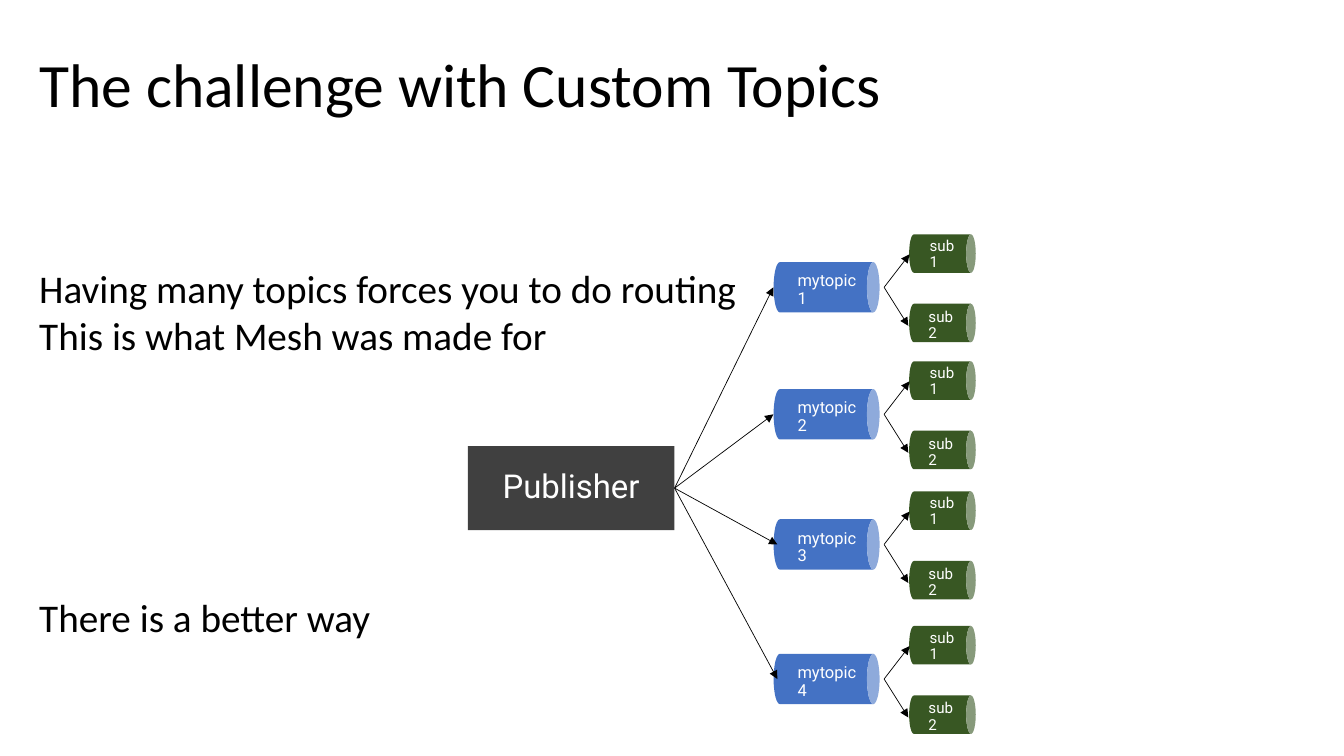
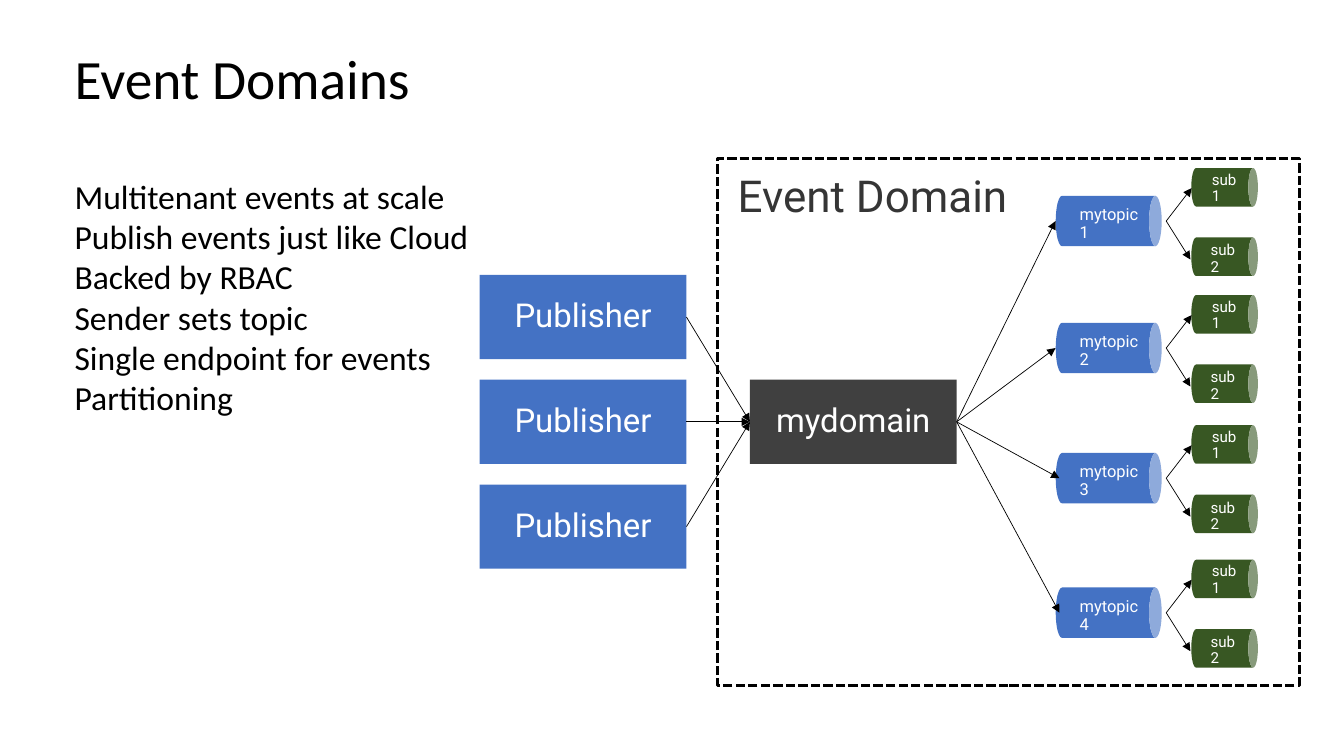
"""Build two slides that compare custom topics with event domains."""
import lxml.etree
import pptx
import pptx.dml.color
import pptx.enum.dml
import pptx.enum.shapes
import pptx.enum.text
import pptx.oxml.ns
import pptx.util

Cm = pptx.util.Cm
Pt = pptx.util.Pt
Align = pptx.enum.text.PP_ALIGN
Anchor = pptx.enum.text.MSO_ANCHOR
Preset = pptx.enum.shapes.MSO_SHAPE

COLORS = {
    "text": "000000",
    "light": "FFFFFF",
    "caption": "353535",
    "topic": "4472C4",
    "subscription": "385723",
    "hub": "404040",
}
PLAIN_FRAME = {"word_wrap": True, "vertical_anchor": Anchor.MIDDLE}
INSET_FRAME = {
    "word_wrap": True,
    "vertical_anchor": Anchor.TOP,
    "margin_left": Cm(0.51),
    "margin_right": Cm(0.51),
    "margin_top": Cm(0.41),
    "margin_bottom": Cm(0.41),
}
TIGHT = {"alignment": Align.LEFT, "line_spacing": 0.9}
STYLES = {
    "title": {"frame": PLAIN_FRAME, "paragraph": TIGHT, "font": "Calibri", "color": "text"},
    "body": {"frame": PLAIN_FRAME, "paragraph": {"alignment": Align.LEFT},
             "font": "Calibri", "color": "text"},
    "label": {"frame": INSET_FRAME, "paragraph": TIGHT, "font": "Roboto", "color": "light"},
    "caption": {"frame": INSET_FRAME, "paragraph": TIGHT, "font": "Roboto", "color": "caption"},
    "box": {"frame": {**INSET_FRAME, "vertical_anchor": Anchor.MIDDLE},
            "paragraph": {**TIGHT, "alignment": Align.CENTER},
            "font": "Roboto", "color": "light"},
}
BOX_WIDTH, BOX_HEIGHT = 5.21, 2.12
RIGHT_SIDE, LEFT_SIDE = 3, 1
TOPIC_ROWS = [(-5.06, 7.7), (-1.86, 7.7), (1.42, 7.8), (4.81, 7.8)]
SUBSCRIPTIONS = [
    {"name": "sub1", "can": -0.85, "arrow": -0.83, "text": -1.64, "left": 11.13, "width": 1.73},
    {"name": "sub2", "can": 0.9, "arrow": 0.97, "text": 0.14, "left": 11.1, "width": 1.8},
]


def color(name):
    """Return the named colour."""
    return pptx.dml.color.RGBColor.from_string(COLORS[name])


def set_attributes(target, values):
    """Set every attribute in a dict of format values."""
    for name, value in values.items():
        setattr(target, name, value)


def write_text(shape, lines, size, style_name, gaps=None):
    """Write one paragraph per line, with optional space before some."""
    style = STYLES[style_name]
    text_frame = shape.text_frame
    set_attributes(text_frame, style["frame"])
    for index, line in enumerate(lines):
        paragraph = text_frame.add_paragraph() if index else text_frame.paragraphs[0]
        set_attributes(paragraph, style["paragraph"])
        if gaps and index in gaps:
            paragraph.space_before = Pt(gaps[index])
        run = paragraph.add_run()
        run.text = line
        set_attributes(run.font, {"name": style["font"], "size": Pt(size)})
        run.font.color.rgb = color(style["color"])


def add_text(slide, bounds, lines, size, style_name, gaps=None):
    """Add a text box."""
    shape = slide.shapes.add_textbox(*map(Cm, bounds))
    write_text(shape, lines, size, style_name, gaps)


def add_filled(slide, preset, bounds, fill):
    """Add a preset shape with a plain fill and no outline."""
    shape = slide.shapes.add_shape(preset, *map(Cm, bounds))
    shape.shadow.inherit = False
    shape.fill.solid()
    shape.fill.fore_color.rgb = color(fill)
    shape.line.fill.background()
    return shape


def add_box(slide, left, middle, text, fill):
    """Add a labelled rectangle around a vertical middle."""
    bounds = (left, middle - BOX_HEIGHT / 2, BOX_WIDTH, BOX_HEIGHT)
    shape = add_filled(slide, Preset.RECTANGLE, bounds, fill)
    write_text(shape, [text], 23.5, "box")
    return shape


def add_can(slide, center, middle, length, thickness, fill):
    """Add a cylinder lying on its side."""
    bounds = (center - thickness / 2, middle - length / 2, thickness, length)
    add_filled(slide, Preset.CAN, bounds, fill).rotation = 90


def add_arrow(slide, start, end, source=None, target=None):
    """Add a thin arrow, joined to the boxes at its ends."""
    connector = slide.shapes.add_connector(
        pptx.enum.shapes.MSO_CONNECTOR.STRAIGHT, *map(Cm, start + end))
    if source is not None:
        connector.begin_connect(source, RIGHT_SIDE)
    if target is not None:
        connector.end_connect(target, LEFT_SIDE)
    connector.line.width = Pt(0.5)
    connector.line.color.rgb = color("text")
    properties = connector._element.spPr
    qualify = pptx.oxml.ns.qn
    outline = properties.find(qualify("a:ln"))
    lxml.etree.SubElement(outline, qualify("a:tailEnd"), type="triangle")
    lxml.etree.SubElement(properties, qualify("a:effectLst"))


def add_topic(slide, left, middle, name):
    """Add a topic with its two subscriptions."""
    add_can(slide, left + 9.04, middle, 2.67, 1.27, "topic")
    add_text(slide, (left + 7.8, middle - 0.78, 2.67, 1.24), [name], 11.8, "label")
    for subscription in SUBSCRIPTIONS:
        text_left = left + subscription["left"]
        add_can(slide, left + 11.96, middle + subscription["can"], 1.68, 0.97, "subscription")
        add_text(slide, (text_left, middle + subscription["text"], subscription["width"], 1.22),
                 [subscription["name"]], 10.8, "label")
        add_arrow(slide, (left + 10.49, middle), (text_left, middle + subscription["arrow"]))


def add_topic_tree(slide, left, middle, hub_text):
    """Add a hub that fans out to the topics, and return the hub."""
    hub = add_box(slide, left, middle, hub_text, "hub")
    for number, (offset, arrow_end) in enumerate(TOPIC_ROWS, 1):
        add_topic(slide, left, middle + offset, f"mytopic{number}")
        add_arrow(slide, (left + BOX_WIDTH, middle), (left + arrow_end, middle + offset), hub)
    return hub


def add_domain_frame(slide):
    """Add the dashed frame with its caption."""
    frame = slide.shapes.add_shape(Preset.RECTANGLE, *map(Cm, (18.08, 3.99, 14.66, 13.28)))
    frame.shadow.inherit = False
    frame.fill.background()
    frame.line.color.rgb = color("text")
    set_attributes(frame.line, {
        "width": Pt(2.25), "dash_style": pptx.enum.dml.MSO_LINE.SQUARE_DOT})
    write_text(frame, ["Event Domain"], 31.4, "caption")


def build_challenge(slide):
    """Build the slide on custom topics."""
    add_text(slide, (0.74, 0.86, 32.39, 2.67), ["The challenge with Custom Topics"], 44, "title")
    add_text(slide, (0.74, 3.94, 32.36, 14.91), [
        "Having many topics forces you to do routing",
        "This is what Mesh was made for",
        "There is a better way",
    ], 28, "body", gaps={2: 168})
    add_topic_tree(slide, 11.79, 12.3, "Publisher")


def build_domains(slide):
    """Build the slide on event domains."""
    add_text(slide, (1.63, 1.27, 30.61, 1.55), ["Event Domains"], 39.6, "title")
    add_text(slide, (1.63, 3.81, 12.7, 7.32), [
        "Multitenant events at scale",
        "Publish events just like Cloud",
        "Backed by RBAC",
        "Sender sets topic",
        "Single endpoint for events",
        "Partitioning",
    ], 24, "body")
    add_domain_frame(slide)
    hub_left, middle, publisher_left, pitch = 18.9, 10.63, 12.09, 2.64
    hub = add_topic_tree(slide, hub_left, middle, "mydomain")
    for step in (-1, 0, 1):
        publisher_middle = middle + step * pitch
        publisher = add_box(slide, publisher_left, publisher_middle, "Publisher", "topic")
        add_arrow(slide, (publisher_left + BOX_WIDTH, publisher_middle),
                  (hub_left, middle), publisher, hub)


def main():
    """Build and save the presentation."""
    presentation = pptx.Presentation()
    presentation.slide_width = Cm(33.87)
    presentation.slide_height = Cm(19.05)
    for build in (build_challenge, build_domains):
        build(presentation.slides.add_slide(presentation.slide_layouts[6]))
    presentation.save("out.pptx")


if __name__ == "__main__":
    main()
